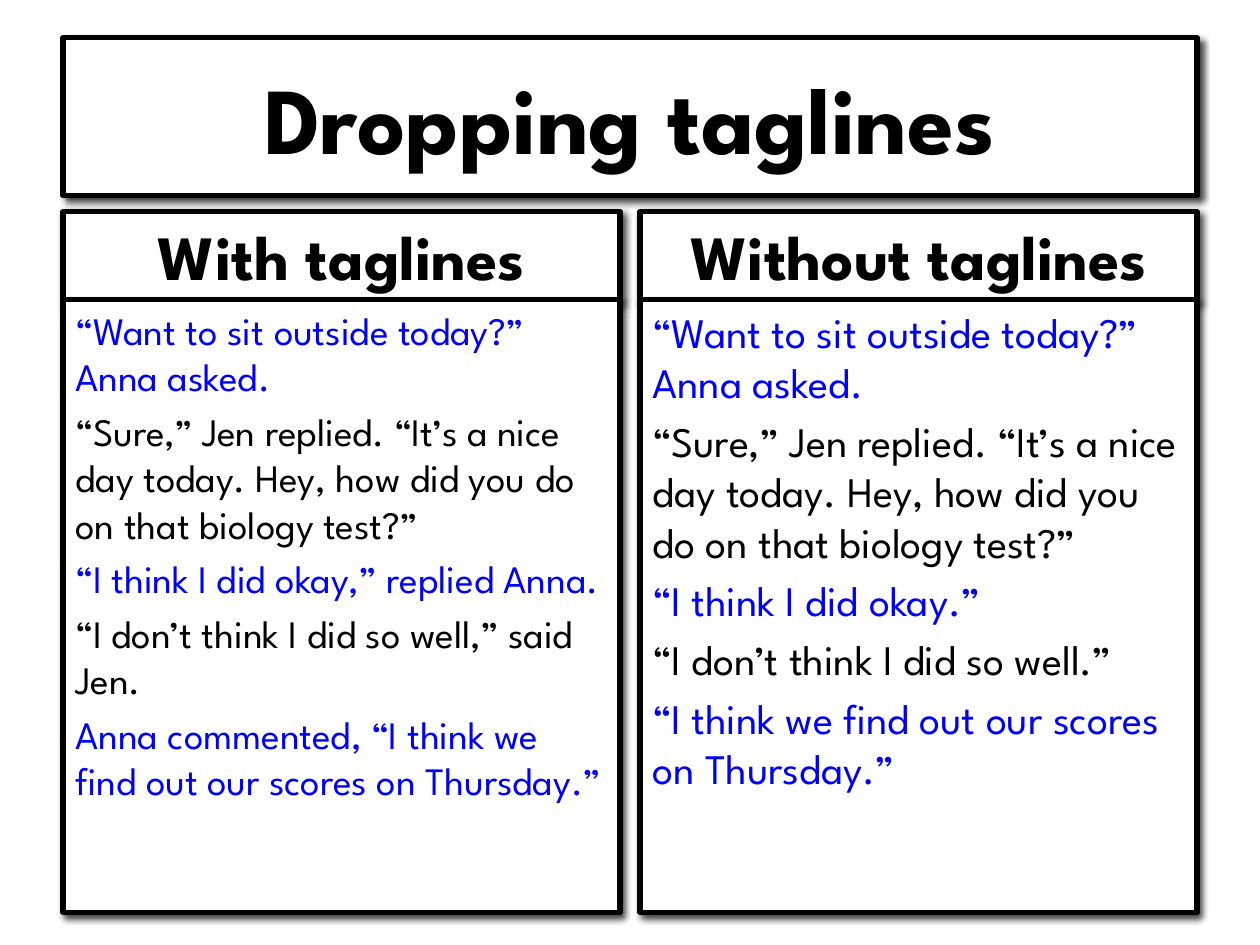
import pptx
import pptx.dml.color
import pptx.enum.text
import pptx.oxml.ns
import pptx.util
from lxml import etree

Inches = pptx.util.Inches
Pt = pptx.util.Pt
Align = pptx.enum.text.PP_ALIGN
Anchor = pptx.enum.text.MSO_ANCHOR
qn = pptx.oxml.ns.qn

BLACK, WHITE, BLUE = "000000", "FFFFFF", "0000FF"
COMPARISON_LAYOUT = 4
MARGIN, COLUMN_WIDTH = 0.5, 4.42
COLUMN_STEP = 9 - COLUMN_WIDTH

SHARED_LINES = [
    "“Want to sit outside today?” Anna asked.",
    "“Sure,” Jen replied. “It’s a nice day today. "
    "Hey, how did you do on that biology test?”",
]
COLUMNS = [
    ("With taglines", 22.2, SHARED_LINES + [
        "“I think I did okay,” replied Anna.",
        "“I don’t think I did so well,” said Jen.",
        "Anna commented, “I think we find out our scores on Thursday.”",
    ]),
    ("Without taglines", 24, SHARED_LINES + [
        "“I think I did okay.”",
        "“I don’t think I did so well.”",
        "“I think we find out our scores on Thursday.”",
    ]),
]


def rgb(value):
    return pptx.dml.color.RGBColor.from_string(value)


class FramedPage:
    """Fills the placeholders of one slide as framed boxes with a shadow."""

    font = "League Spartan"
    line_width = 3
    shadow = {"blurRad": Pt(4), "dist": Pt(3), "dir": 49 * 60000,
              "algn": "tl", "rotWithShape": 0}
    shadow_alpha = 72000

    def __init__(self, deck):
        self.page = deck.slides.add_slide(deck.slide_layouts[COMPARISON_LAYOUT])

    def frame(self, index, left, top, width, height, anchor):
        box = self.page.placeholders[index]
        places = {"left": left, "top": top, "width": width, "height": height}
        for name, value in places.items():
            setattr(box, name, Inches(value))
        box.fill.solid()
        box.fill.fore_color.rgb = rgb(WHITE)
        box.line.color.rgb = rgb(BLACK)
        box.line.width = Pt(self.line_width)
        self.cast_shadow(box)
        text = box.text_frame
        text.word_wrap = True
        text.auto_size = pptx.enum.text.MSO_AUTO_SIZE.NONE
        text.vertical_anchor = anchor
        return text

    def cast_shadow(self, box):
        box.shadow.inherit = False
        effects = box.element.spPr.find(qn("a:effectLst"))
        outer = etree.SubElement(effects, qn("a:outerShdw"))
        for name, value in self.shadow.items():
            outer.set(name, str(value))
        color = etree.SubElement(outer, qn("a:srgbClr"), val=BLACK)
        etree.SubElement(color, qn("a:alpha"), val=str(self.shadow_alpha))

    def add_words(self, para, words, size, color=BLACK, bold=False, align=Align.LEFT):
        para.alignment = align
        span = para.add_run()
        span.text = words
        formats = {"name": self.font, "size": Pt(size), "bold": bold}
        for name, value in formats.items():
            setattr(span.font, name, value)
        span.font.color.rgb = rgb(color)

    def heading(self, index, words, size, place, anchor):
        text = self.frame(index, *place, anchor)
        self.add_words(text.paragraphs[0], words, size, bold=True, align=Align.CENTER)

    def dialogue(self, index, lines, size, place):
        """Sets the spoken lines without bullets, blue and black in turn."""
        text = self.frame(index, *place, Anchor.TOP)
        for number, line in enumerate(lines):
            para = text.add_paragraph() if number else text.paragraphs[0]
            self.add_words(para, line, size, BLACK if number % 2 else BLUE)
            properties = para._p.get_or_add_pPr()
            properties.set("marL", "0")
            properties.set("indent", "0")
            etree.SubElement(properties, qn("a:buNone"))


def main():
    deck = pptx.Presentation()
    deck.slide_width, deck.slide_height = Inches(10), Inches(7.5)
    page = FramedPage(deck)
    page.heading(0, "Dropping taglines", 54, (MARGIN, 0.3, 9, 1.25), Anchor.MIDDLE)
    for number, (title, size, lines) in enumerate(COLUMNS):
        left = MARGIN + number * COLUMN_STEP
        index = 1 + 2 * number
        page.heading(index, title, 36, (left, 1.68, COLUMN_WIDTH, 0.7), Anchor.BOTTOM)
        page.dialogue(index + 1, lines, size, (left, 2.38, COLUMN_WIDTH, 4.86))
    deck.save("out.pptx")


if __name__ == "__main__":
    main()
